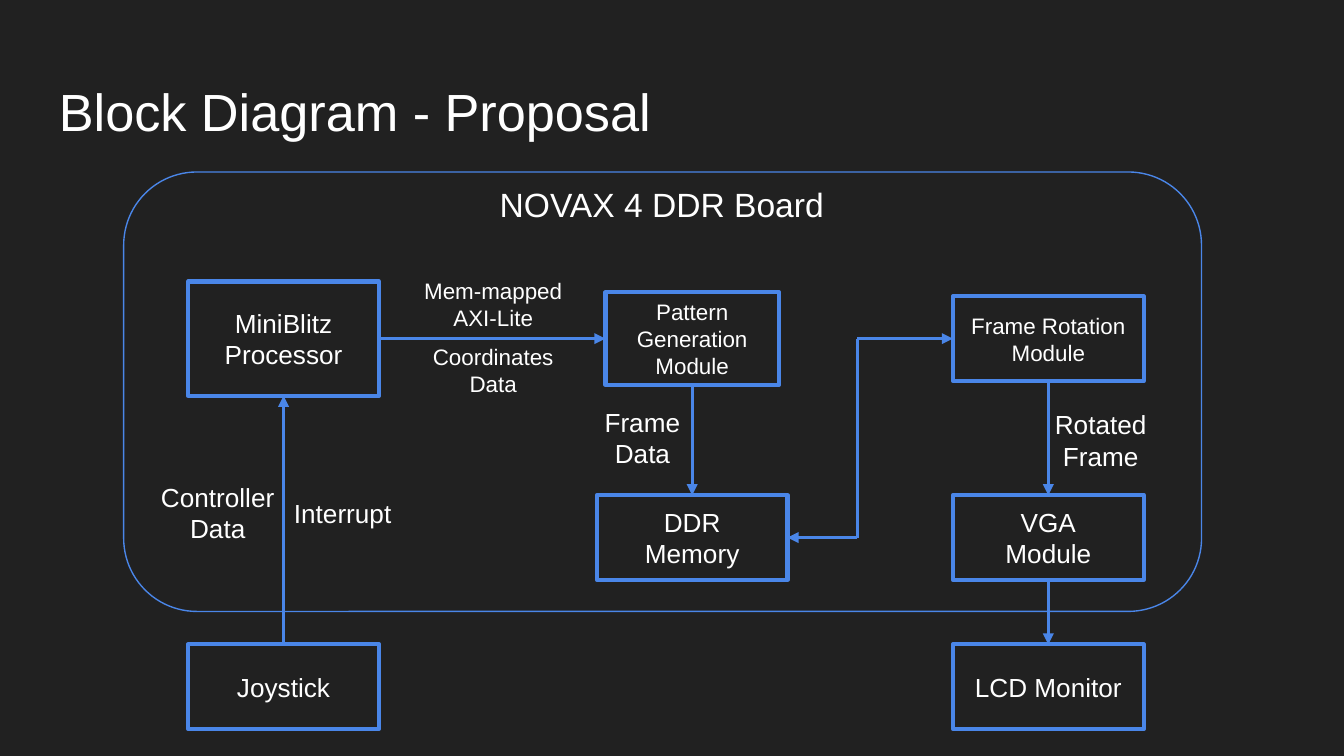
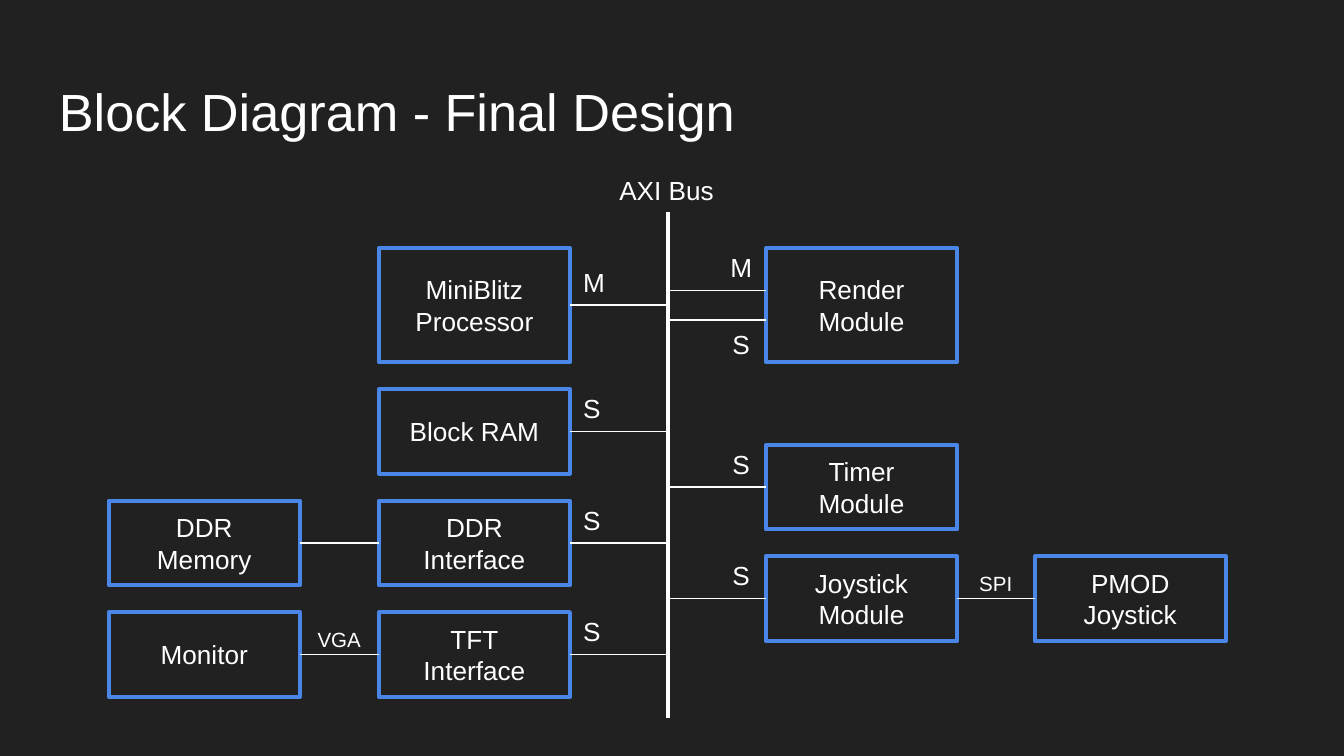
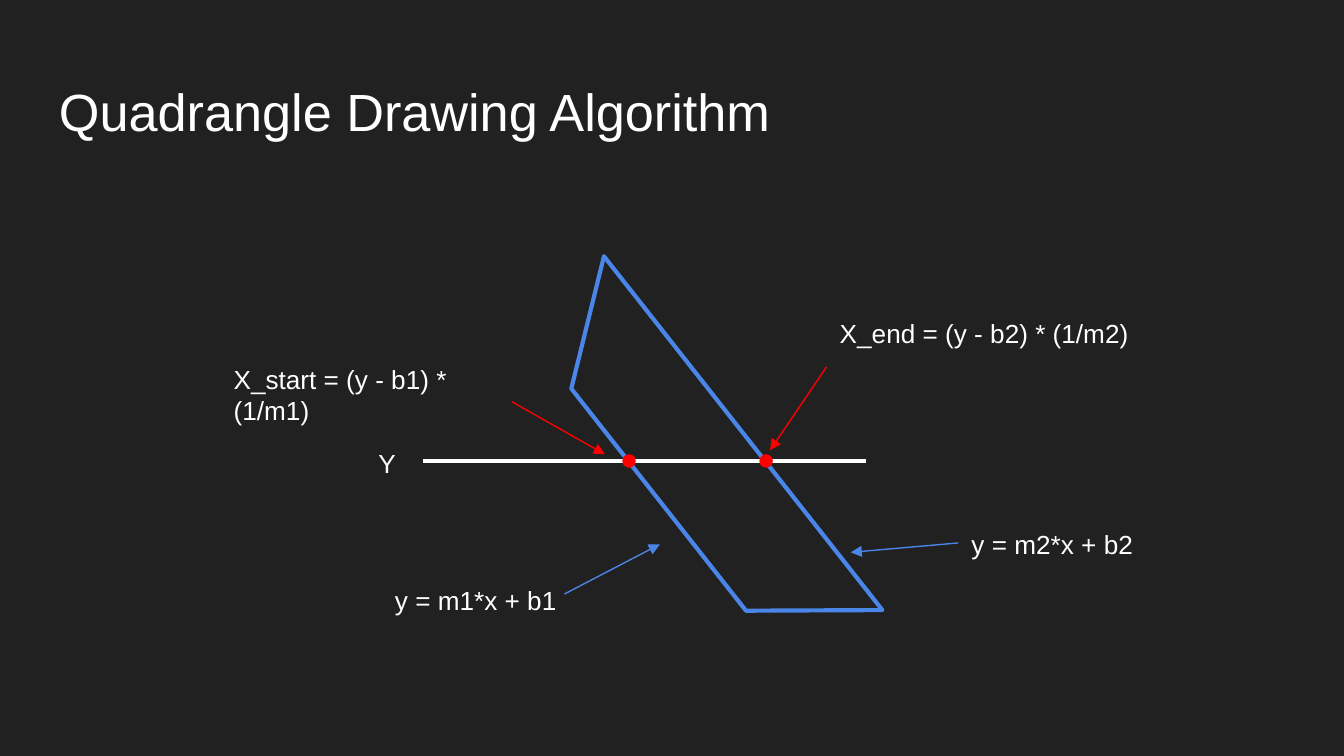
from dataclasses import dataclass

from lxml import etree
from pptx import Presentation
from pptx.dml.color import RGBColor
from pptx.enum.shapes import MSO_CONNECTOR, MSO_SHAPE
from pptx.enum.text import MSO_ANCHOR, PP_ALIGN
from pptx.oxml.ns import qn
from pptx.util import Inches, Pt

STRAIGHT = MSO_CONNECTOR.STRAIGHT
RECTANGLE = MSO_SHAPE.RECTANGLE
ROUNDED = MSO_SHAPE.ROUNDED_RECTANGLE
TRAPEZOID = MSO_SHAPE.TRAPEZOID
OVAL = MSO_SHAPE.OVAL
LEFT, CENTER = PP_ALIGN.LEFT, PP_ALIGN.CENTER
TOP, MIDDLE = MSO_ANCHOR.TOP, MSO_ANCHOR.MIDDLE
TOP_SIDE, LEFT_SIDE, BOTTOM_SIDE, RIGHT_SIDE = range(4)


@dataclass(frozen=True)
class Theme:
    font: str = "Arial"
    background: str = "212121"
    text: str = "FFFFFF"
    accent: str = "4A86E8"
    mark: str = "FF0000"
    title: int = 28
    heading: int = 18
    body: int = 14
    small: int = 12
    tiny: int = 11
    thin: float = 0.75
    medium: float = 1.5
    thick: float = 2.25
    inset: float = 0.1


THEME = Theme()
BLOCK_WIDTH, BLOCK_HEIGHT, TALL_HEIGHT = 1.42, 0.63, 0.85

PROPOSAL_TITLE = "Block Diagram - Proposal"
BOARD = "NOVAX 4 DDR Board"
PROPOSAL_COLUMNS = (2.11, 5.15, 7.8)
PROPOSAL_ROWS = (2.52, 4.0, 5.11)
PROPOSAL_BLOCKS = {
    "processor": ("MiniBlitz\nProcessor", 0, 0, BLOCK_WIDTH, TALL_HEIGHT, THEME.body),
    "pattern": ("Pattern Generation Module", 1, 0, 1.29, 0.69, THEME.small),
    "rotation": ("Frame Rotation Module", 2, 0, BLOCK_WIDTH, BLOCK_HEIGHT, THEME.small),
    "memory": ("DDR\nMemory", 1, 1, BLOCK_WIDTH, BLOCK_HEIGHT, THEME.body),
    "vga": ("VGA\nModule", 2, 1, BLOCK_WIDTH, BLOCK_HEIGHT, THEME.body),
    "joystick": ("Joystick", 0, 2, BLOCK_WIDTH, BLOCK_HEIGHT, THEME.body),
    "monitor": ("LCD Monitor", 2, 2, BLOCK_WIDTH, BLOCK_HEIGHT, THEME.body),
}
PROPOSAL_FLOWS = [
    ("processor", RIGHT_SIDE, "pattern", LEFT_SIDE),
    ("pattern", BOTTOM_SIDE, "memory", TOP_SIDE),
    ("rotation", BOTTOM_SIDE, "vga", TOP_SIDE),
    ("vga", BOTTOM_SIDE, "monitor", TOP_SIDE),
    ("joystick", TOP_SIDE, "processor", BOTTOM_SIDE),
]
PROPOSAL_LABELS = [
    ("Mem-mapped\nAXI-Lite", 2.93, 2.08, THEME.small),
    ("Coordinates\nData", 2.93, 2.57, THEME.small),
    ("Frame\nData", 4.04, 3.07, THEME.body),
    ("Rotated\nFrame", 7.45, 3.09, THEME.body),
    ("Controller\nData", 0.88, 3.63, THEME.body),
    ("Interrupt", 1.81, 3.63, THEME.body),
]
FRAME_BUS_X = 6.38

FINAL_TITLE = "Block Diagram - Final Design"
BUS = "AXI Bus"
BUS_X, BUS_TOP, BUS_BOTTOM = 4.97, 1.58, 5.34
FINAL_COLUMNS = (0.81, 2.82, 5.7, 7.7)
TALL_ROW, FIRST_ROW, ROW_STEP = 2.27, 3.21, 0.83
FINAL_BLOCKS = {
    "processor": ("MiniBlitz\nProcessor", 1, None),
    "ram": ("Block RAM", 1, 0),
    "ddr": ("DDR Interface", 1, 1),
    "memory": ("DDR\nMemory", 0, 1),
    "tft": ("TFT\nInterface", 1, 2),
    "monitor": ("Monitor", 0, 2),
    "render": ("Render Module", 2, None),
    "timer": ("Timer\nModule", 2, 0.5),
    "joystick": ("Joystick\nModule", 2, 1.5),
    "pmod": ("PMOD\nJoystick", 3, 1.5),
}
BUS_PORTS = [
    ("M", "processor", 0, -0.39),
    ("S", "ram", 0, -0.39),
    ("S", "ddr", 0, -0.39),
    ("S", "tft", 0, -0.39),
    ("M", "render", -0.11, -0.39),
    ("S", "render", 0.11, -0.04),
    ("S", "timer", 0, -0.39),
    ("S", "joystick", 0, -0.39),
]
SIDE_LINKS = [
    ("memory", "ddr", None),
    ("monitor", "tft", "VGA"),
    ("joystick", "pmod", "SPI"),
]

ALGORITHM_TITLE = "Quadrangle Drawing Algorithm"
SCAN_Y = 3.43
CROSSINGS = (4.68, 5.7)
DOT = 0.09
FORMULAS = [
    ("Y", 2.65, 3.23, 0.46, CENTER),
    ("y = m1*x + b1", 2.84, 4.25, 1.59, LEFT),
    ("y = m2*x + b2", 7.13, 3.83, 1.59, LEFT),
    ("X_end = (y - b2) * (1/m2)", 6.15, 2.26, 2.4, LEFT),
    ("X_start = (y - b1) * (1/m1)", 1.64, 2.6, 2.4, LEFT),
]
POINTERS = [
    ((4.2, 4.42), (4.91, 4.05), THEME.accent),
    ((7.13, 4.04), (6.33, 4.11), THEME.accent),
    ((6.15, 2.73), (5.73, 3.35), THEME.mark),
    ((3.81, 2.99), (4.5, 3.38), THEME.mark),
]


def rgb(value):
    return RGBColor.from_string(value)


def write(shape, text, size, align, anchor):
    frame = shape.text_frame
    frame.word_wrap = True
    frame.vertical_anchor = anchor
    frame.margin_left = frame.margin_right = Inches(THEME.inset)
    frame.margin_top = frame.margin_bottom = Inches(THEME.inset)
    for index, words in enumerate(text.split("\n")):
        paragraph = frame.add_paragraph() if index else frame.paragraphs[0]
        paragraph.alignment = align
        run = paragraph.add_run()
        run.text = words
        run.font.name = THEME.font
        run.font.size = Pt(size)
        run.font.color.rgb = rgb(THEME.text)


def label(slide, text, box, size=THEME.body, align=CENTER, anchor=TOP):
    write(slide.shapes.add_textbox(*map(Inches, box)), text, size, align, anchor)


def outline(slide, kind, box, weight=THEME.thick, color=THEME.accent, fill=None):
    shape = slide.shapes.add_shape(kind, *map(Inches, box))
    shape.shadow.inherit = False
    shape.line.color.rgb = rgb(color)
    shape.line.width = Pt(weight)
    if fill:
        shape.fill.solid()
        shape.fill.fore_color.rgb = rgb(fill)
    else:
        shape.fill.background()
    return shape


def block(slide, text, center_x, center_y, width, height, size=THEME.body):
    box = (center_x - width / 2, center_y - height / 2, width, height)
    shape = outline(slide, RECTANGLE, box)
    write(shape, text, size, CENTER, MIDDLE)
    return shape


def line(slide, start, end, color, weight, arrow=False):
    connector = slide.shapes.add_connector(STRAIGHT, *map(Inches, (*start, *end)))
    connector.line.color.rgb = rgb(color)
    connector.line.width = Pt(weight)
    properties = connector._element.spPr
    if arrow:
        etree.SubElement(properties.get_or_add_ln(), qn("a:tailEnd"), type="triangle")
    etree.SubElement(properties, qn("a:effectLst"))
    return connector


def link(slide, source, source_side, target, target_side, color, weight, arrow=False):
    connector = line(slide, (0, 0), (1, 1), color, weight, arrow)
    connector.begin_connect(source, source_side)
    connector.end_connect(target, target_side)


def titled_slide(deck, title):
    slide = deck.slides.add_slide(deck.slide_layouts[6])
    slide.background.fill.solid()
    slide.background.fill.fore_color.rgb = rgb(THEME.background)
    label(slide, title, (0.34, 0.49, 9.32, 0.63), THEME.title, LEFT)
    return slide


def draw_proposal(deck):
    slide = titled_slide(deck, PROPOSAL_TITLE)
    outline(slide, ROUNDED, (0.92, 1.28, 8.02, 3.27), THEME.thin)
    label(slide, BOARD, (3.21, 1.37, 3.43, 0.29), THEME.heading, anchor=MIDDLE)
    blocks = {}
    for name, (text, column, row, width, height, size) in PROPOSAL_BLOCKS.items():
        blocks[name] = block(slide, text, PROPOSAL_COLUMNS[column],
                             PROPOSAL_ROWS[row], width, height, size)
    for source, source_side, target, target_side in PROPOSAL_FLOWS:
        link(slide, blocks[source], source_side, blocks[target], target_side,
             THEME.accent, THEME.medium, True)
    upper, lower = PROPOSAL_ROWS[:2]
    memory_edge = PROPOSAL_COLUMNS[1] + BLOCK_WIDTH / 2
    rotation_edge = PROPOSAL_COLUMNS[2] - BLOCK_WIDTH / 2
    line(slide, (FRAME_BUS_X, lower), (FRAME_BUS_X, upper), THEME.accent, THEME.medium)
    for y, edge in ((upper, rotation_edge), (lower, memory_edge)):
        line(slide, (FRAME_BUS_X, y), (edge, y), THEME.accent, THEME.medium, True)
    for text, left, top, size in PROPOSAL_LABELS:
        label(slide, text, (left, top, 1.48, 0.37), size, anchor=MIDDLE)


def draw_final_design(deck):
    slide = titled_slide(deck, FINAL_TITLE)
    line(slide, (BUS_X, BUS_TOP), (BUS_X, BUS_BOTTOM), THEME.text, THEME.thick)
    label(slide, BUS, (4.51, 1.2, 0.93, 0.39), align=LEFT)
    blocks, places = {}, {}
    for name, (text, column, row) in FINAL_BLOCKS.items():
        left = FINAL_COLUMNS[column]
        y = TALL_ROW if row is None else FIRST_ROW + row * ROW_STEP
        height = TALL_HEIGHT if row is None else BLOCK_HEIGHT
        blocks[name] = block(slide, text, left + BLOCK_WIDTH / 2, y, BLOCK_WIDTH, height)
        places[name] = (left, y)
    for text, name, wire_shift, label_shift in BUS_PORTS:
        left, y = places[name]
        y += wire_shift
        before_bus = left < BUS_X
        edge = left + BLOCK_WIDTH if before_bus else left
        line(slide, (edge, y), (BUS_X, y), THEME.text, THEME.thin)
        label_left = edge if before_bus else edge - 0.37
        label(slide, text, (label_left, y + label_shift, 0.37, 0.39),
              align=LEFT if before_bus else CENTER)
    for source, target, text in SIDE_LINKS:
        link(slide, blocks[source], RIGHT_SIDE, blocks[target], LEFT_SIDE,
             THEME.text, THEME.thin)
        if text:
            left, y = places[source]
            middle = (left + BLOCK_WIDTH + places[target][0]) / 2
            label(slide, text, (middle - 0.35, y - 0.31, 0.7, 0.39),
                  THEME.tiny, anchor=MIDDLE)


def draw_algorithm(deck):
    slide = titled_slide(deck, ALGORITHM_TITLE)
    quadrangle = outline(slide, TRAPEZOID, (3.54, 3.07, 3.35, 0.8))
    quadrangle.adjustments[0] = 0.78
    quadrangle.rotation = 231.8
    line(slide, (3.15, SCAN_Y), (6.44, SCAN_Y), THEME.text, THEME.thick)
    for text, left, top, width, align in FORMULAS:
        label(slide, text, (left, top, width, 0.42), align=align)
    for start, end, color in POINTERS:
        line(slide, start, end, color, THEME.thin, True)
    for x in CROSSINGS:
        outline(slide, OVAL, (x - DOT / 2, SCAN_Y - DOT / 2, DOT, DOT),
                THEME.thin, THEME.mark, THEME.mark)


deck = Presentation()
deck.slide_width = Inches(10)
deck.slide_height = deck.slide_width * 9 // 16
draw_proposal(deck)
draw_final_design(deck)
draw_algorithm(deck)
deck.save("out.pptx")
